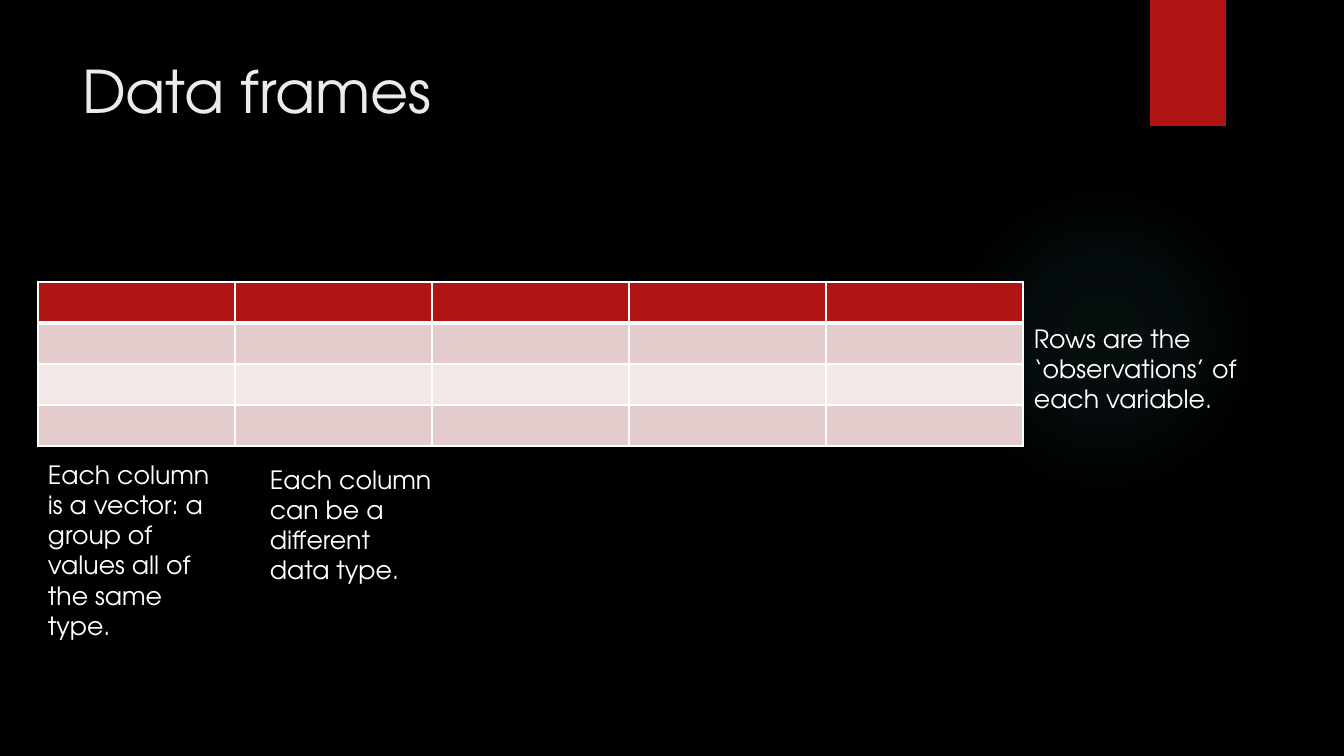
from lxml import etree
from pptx import Presentation
from pptx.dml.color import RGBColor
from pptx.enum.shapes import MSO_SHAPE as Shape
from pptx.enum.text import MSO_ANCHOR as Anchor, MSO_AUTO_SIZE as AutoSize, PP_ALIGN as Align
from pptx.oxml import parse_xml
from pptx.oxml.ns import nsdecls, qn
from pptx.util import Pt

SCALE = 914400 / 100.8
FONT = "TeX Gyre Adventor"
COLORS = {
    "background": "000000",
    "accent": "B01513",
    "glow": "50B9C1",
    "title": "EBEBEB",
    "white": "FFFFFF",
    "band_dark": "E4CCCC",
    "band_light": "F2E8E7",
}


def px(*lengths):
    return [round(length * SCALE) for length in lengths]


def rgb(name):
    return RGBColor.from_string(COLORS[name])


class SlideBuilder:
    def __init__(self, presentation):
        self.slide = presentation.slides.add_slide(presentation.slide_layouts[5])
        fill = self.slide.background.fill
        fill.solid()
        fill.fore_color.rgb = rgb("background")

    def set_text(self, text_frame, text, size, color):
        text_frame.text = text
        text_frame.word_wrap = True
        text_frame.vertical_anchor = Anchor.TOP
        paragraph = text_frame.paragraphs[0]
        paragraph.alignment = Align.LEFT
        font = paragraph.runs[0].font
        font.name = FONT
        font.size = Pt(size)
        font.color.rgb = rgb(color)

    def title(self, text, *box):
        shape = self.slide.shapes.title
        shape.left, shape.top, shape.width, shape.height = px(*box)
        self.set_text(shape.text_frame, text, 42, "title")
        shape.text_frame.auto_size = AutoSize.NONE

    def note(self, text, *box):
        shape = self.slide.shapes.add_textbox(*px(*box))
        self.set_text(shape.text_frame, text, 18, "white")
        shape.text_frame.auto_size = AutoSize.SHAPE_TO_FIT_TEXT

    def plain_shape(self, kind, *box):
        shape = self.slide.shapes.add_shape(kind, *px(*box))
        shape.shadow.inherit = False
        shape.line.fill.background()
        return shape

    def ribbon(self, *box):
        shape = self.plain_shape(Shape.RECTANGLE, *box)
        shape.fill.solid()
        shape.fill.fore_color.rgb = rgb("accent")

    def glow(self, *box):
        shape = self.plain_shape(Shape.OVAL, *box)
        stops = "".join(
            f'<a:gs pos="{position * 1000}"><a:srgbClr val="{COLORS["glow"]}">'
            f'<a:alpha val="{opacity * 1000}"/></a:srgbClr></a:gs>'
            for position, opacity in ((0, 7), (36, 6), (69, 0), (100, 0))
        )
        gradient = parse_xml(
            f'<a:gradFill {nsdecls("a")} rotWithShape="1"><a:gsLst>{stops}</a:gsLst>'
            '<a:path path="circle"><a:fillToRect l="50000" t="50000" r="50000" b="50000"/>'
            "</a:path></a:gradFill>"
        )
        shape.element.spPr.find(qn("a:prstGeom")).addnext(gradient)

    def border(self, cell, side, width):
        line = etree.SubElement(cell._tc.get_or_add_tcPr(), qn(f"a:ln{side}"), w=str(Pt(width)))
        fill = etree.SubElement(line, qn("a:solidFill"))
        etree.SubElement(fill, qn("a:srgbClr"), val=COLORS["white"])

    def empty_table(self, left, top, column_width, row_height, columns, row_colors):
        rows = len(row_colors)
        table = self.slide.shapes.add_table(
            rows, columns, *px(left, top, column_width * columns, row_height * rows)
        ).table
        for column in table.columns:
            column.width = px(column_width)[0]
        for index, (row, color) in enumerate(zip(table.rows, row_colors)):
            row.height = px(row_height)[0]
            top_width = 3 if index == 1 else 1
            bottom_width = 3 if index == 0 else 1
            for cell in row.cells:
                for side, width in zip("LRTB", (1, 1, top_width, bottom_width)):
                    self.border(cell, side, width)
                cell.fill.solid()
                cell.fill.fore_color.rgb = rgb(color)


def main():
    presentation = Presentation()
    presentation.slide_width, presentation.slide_height = px(1344, 756)
    builder = SlideBuilder(presentation)
    builder.glow(949, 184, 310, 310)
    builder.ribbon(1150, 0, 76, 126)
    builder.title("Data frames", 72, 50, 1037, 154)
    builder.empty_table(38, 282, 197, 41, 5, ["accent", "band_dark", "band_light", "band_dark"])
    builder.note("Each column is a vector: a group of values all of the same type.", 38, 454, 185, 194)
    builder.note("Each column can be a different data type.", 260, 459, 185, 132)
    builder.note("Rows are the ‘observations’ of each variable.", 1024, 318, 223, 132)
    presentation.save("out.pptx")


if __name__ == "__main__":
    main()
